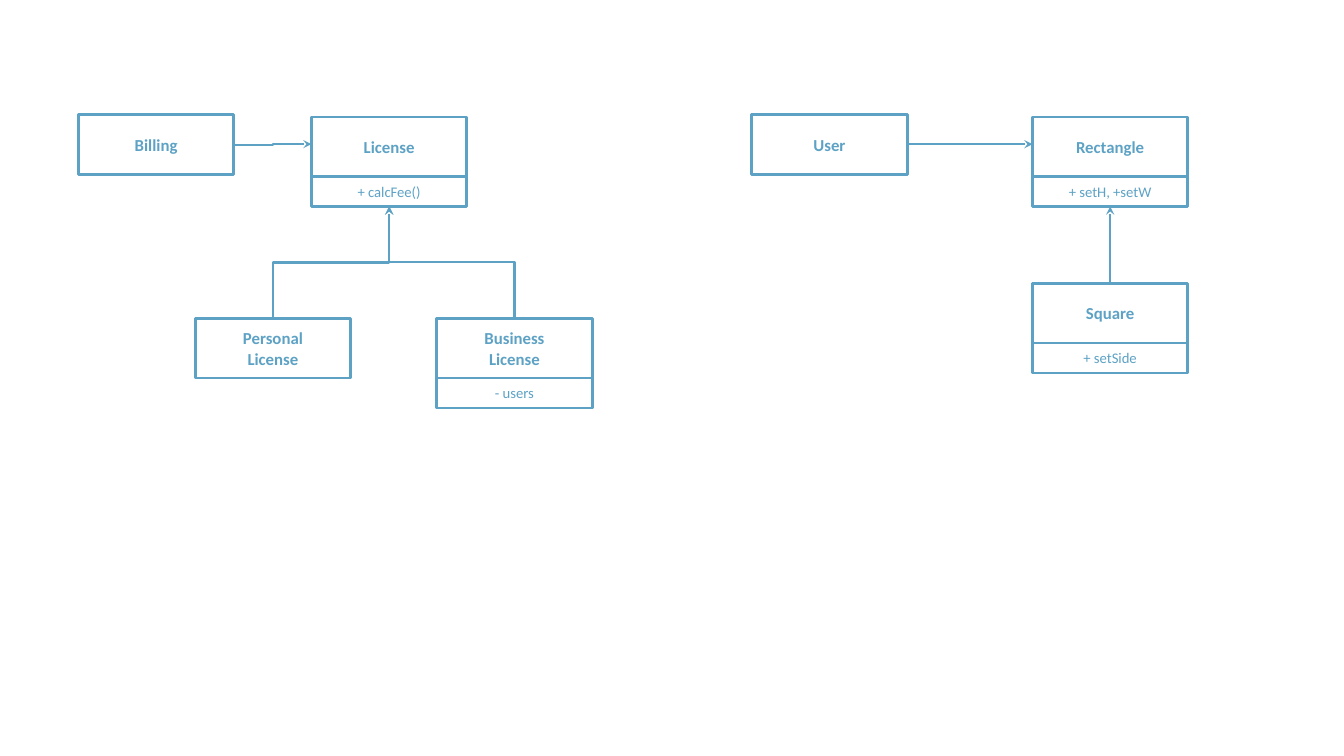
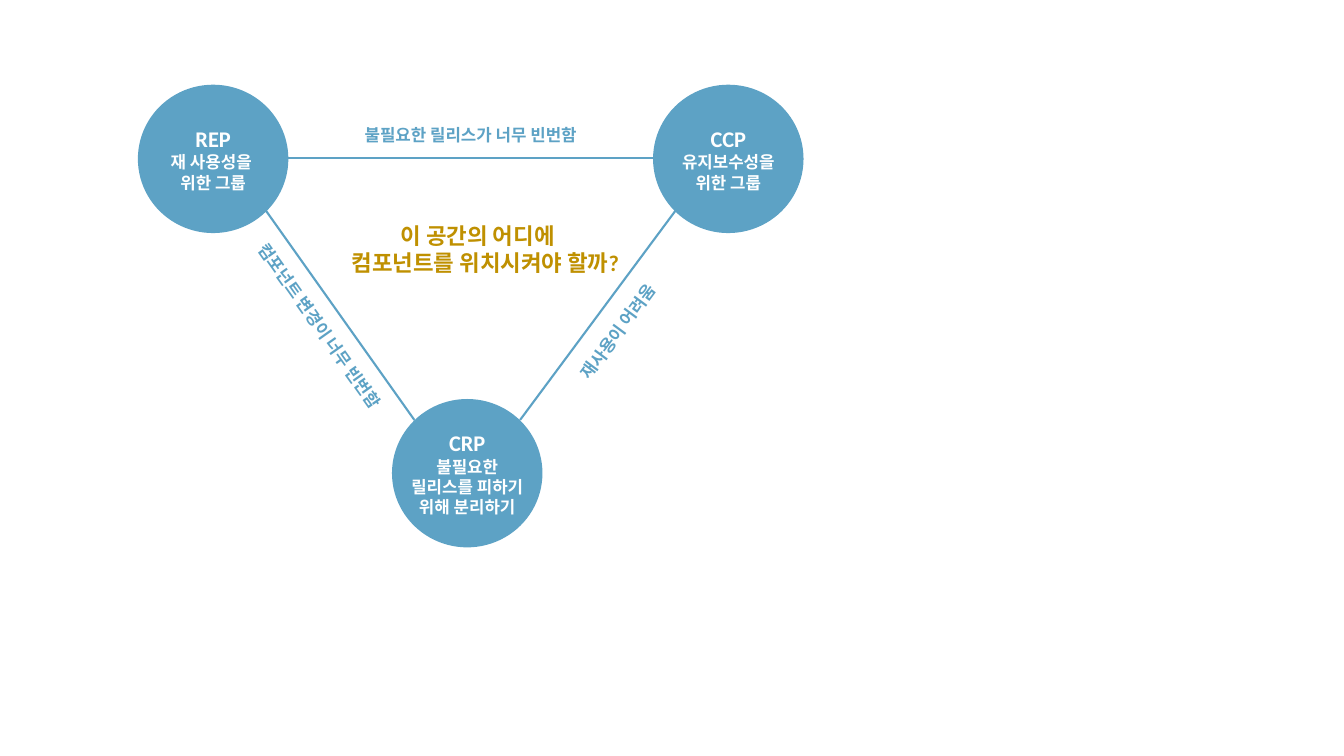
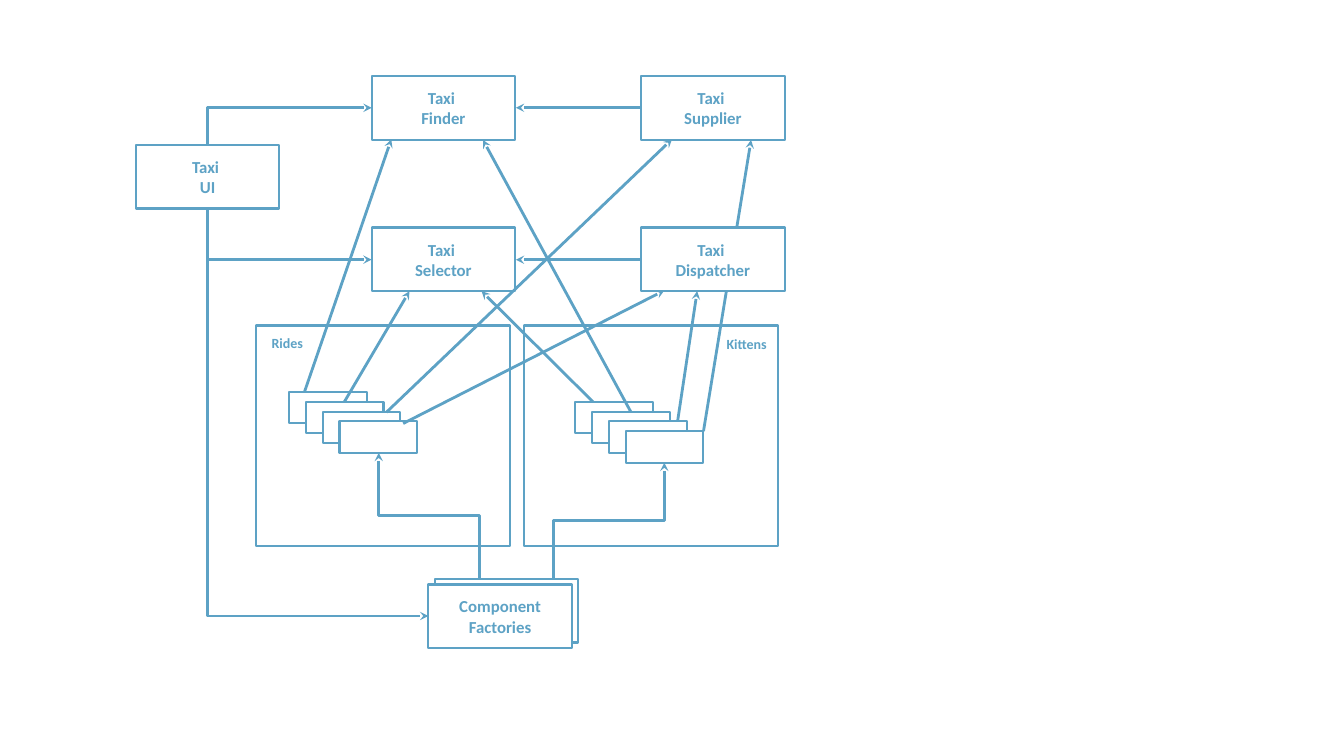
from lxml import etree
from pptx import Presentation
from pptx.dml.color import RGBColor as RGB
from pptx.enum.shapes import MSO_CONNECTOR as LINK, MSO_SHAPE as SHAPE
from pptx.enum.text import MSO_ANCHOR as ANCHOR, PP_ALIGN as ALIGN
from pptx.oxml.ns import qn
from pptx.util import Pt

HUES = {"blue": "5DA2C5", "white": "FFFFFF", "gold": "BF9000"}
FONT = "Calibri"


def put(slide, text, x, y, w, h, kind=None, fill=None, line=None,
        size=12, head=None, hue="blue", bold=True, turn=0):
    """Place a shape, or a text box if no kind is given; head sizes line one."""
    frame = [Pt(v) for v in (x, y, w, h)]
    if kind is None:
        item = slide.shapes.add_textbox(*frame)
    else:
        item = slide.shapes.add_shape(kind, *frame)
        item.shadow.inherit = False
        if fill:
            item.fill.solid()
            item.fill.fore_color.rgb = RGB.from_string(HUES[fill])
        else:
            item.fill.background()
        if line:
            item.line.color.rgb = RGB.from_string(HUES["blue"])
            item.line.width = Pt(line)
        else:
            item.line.fill.background()
    item.rotation = turn
    body = item.text_frame
    body.word_wrap = True
    body.vertical_anchor = ANCHOR.MIDDLE
    for n, words in enumerate(text.split("\n") if text else []):
        para = body.add_paragraph() if n else body.paragraphs[0]
        para.alignment = ALIGN.CENTER
        run = para.add_run()
        run.text = words
        run.font.name = FONT
        run.font.size = Pt(head if head and n == 0 else size)
        run.font.bold = bold
        run.font.color.rgb = RGB.from_string(HUES[hue])


def join(slide, x1, y1, x2, y2, width=1.5, bend=None, rise=False, arrow=True):
    """Draw a line; bend names an elbow preset, rise makes it leave vertically."""
    if rise:
        # A quarter turn about the middle swaps the two directions
        mx, my = (x1 + x2) / 2, (y1 + y2) / 2
        dx, dy = (x2 - x1) / 2, (y2 - y1) / 2
        x1, y1, x2, y2 = mx + dy, my - dx, mx - dy, my + dx
    kind = LINK.ELBOW if bend else LINK.STRAIGHT
    line = slide.shapes.add_connector(kind, Pt(x1), Pt(y1), Pt(x2), Pt(y2))
    line.line.color.rgb = RGB.from_string(HUES["blue"])
    line.line.width = Pt(width)
    props = line._element.spPr
    if bend:
        props.find(qn("a:prstGeom")).set("prst", bend)
    if rise:
        props.find(qn("a:xfrm")).set("rot", "16200000")
    if arrow:
        etree.SubElement(line.line._get_or_add_ln(), qn("a:tailEnd"), type="stealth")
    etree.SubElement(props, qn("a:effectLst"))


deck = Presentation()
deck.slide_width, deck.slide_height = Pt(960), Pt(540)
blank = deck.slide_layouts[6]

# Slide 1: class diagrams
page = deck.slides.add_slide(blank)
wide, high = 111, 42.5
for name, part, x, y in [
    ("Billing", None, 56, 82),
    ("License", "+ calcFee()", 222.5, 83.5),
    ("Personal\nLicense", None, 139.5, 227.5),
    ("Business\nLicense", "- users", 312, 227.5),
    ("User", None, 537, 82),
    ("Rectangle", "+ setH, +setW", 737.5, 83.5),
    ("Square", "+ setSide", 737.5, 202.5),
]:
    put(page, name, x, y, wide, high, kind=SHAPE.RECTANGLE, line=2)
    if part:
        put(page, part, x, y + high, wide, 21.5, kind=SHAPE.RECTANGLE, line=2,
            size=10.5, bold=False)

join(page, 167, 103.5, 222.5, 103, bend="bentConnector3")
for x in (195, 367.5):
    join(page, x, 227.5, 278, 147.5, bend="bentConnector3", rise=True)
join(page, 648, 103, 737.5, 103)
join(page, 793, 202.5, 793, 147.5)

# Slide 2: tension triangle
page = deck.slides.add_slide(blank)
for text, x, y in [
    ("REP\n재 사용성을 \n위한 그룹", 98.5, 60.5),
    ("CCP\n유지보수성을 위한 그룹", 466.5, 60.5),
    ("CRP\n불필요한 릴리스를 피하기 위해 분리하기", 280, 285),
]:
    put(page, "", x, y, 107.5, 106, kind=SHAPE.OVAL, fill="blue")
    put(page, text, x + 5.75, y, 96, 106, head=16, hue="white")

for ends in [(206, 113, 466.5, 113), (190, 150.5, 296, 300),
             (482.5, 150.5, 371.5, 300)]:
    join(page, *ends, arrow=False)

for text, x, y, turn in [
    ("불필요한 릴리스가 너무 빈번함", 248.5, 85.5, 0),
    ("컴포넌트 변경이 너무 빈번함", 141, 222, 54.7),
    ("재사용이 어려움", 353.5, 226, 306.4),
]:
    put(page, text, x, y, 175.5, 21.5, turn=turn)
put(page, "이 공간의 어디에 \n컴포넌트를 위치시켜야 할까?", 243, 155, 200, 46,
    size=16, hue="gold")

# Slide 3: taxi components
page = deck.slides.add_slide(blank)
join(page, 502.5, 308, 536.5, 100, width=2)

for text, x, y, fill in [
    ("Taxi \nUI", 97, 103.5, None),
    ("Taxi \nFinder", 265.5, 54.5, None),
    ("Taxi \nSupplier", 458, 54.5, None),
    ("Taxi \nSelector", 265.5, 162.5, None),
    ("Taxi \nDispatcher", 458, 162.5, "white"),
    ("", 310.5, 413.5, None),
    ("Component\nFactories", 306, 417.5, "white"),
]:
    put(page, text, x, y, 102.5, 45.5, kind=SHAPE.RECTANGLE, fill=fill, line=1.5)

# Stacks of small boxes
for x, y in [(206.5, 280), (411, 287)]:
    for n in range(4):
        put(page, "", x + 12 * n, y + 7 * n, 55.5, 22.5, kind=SHAPE.RECTANGLE,
            fill="white", line=1.5)

# Elbow arrows
for x1, y1, x2, y2, bend in [
    (148.5, 103.5, 265.5, 77, "bentConnector2"),
    (148.5, 149, 265.5, 185.5, "bentConnector2"),
    (148.5, 149, 306, 440, "bentConnector2"),
    (395.5, 413.5, 474.5, 330.5, "bentConnector3"),
    (342.5, 413.5, 270.5, 323.5, "bentConnector3"),
]:
    join(page, x1, y1, x2, y2, width=2, bend=bend, rise=True)

# Group frames and their labels
for x in (183, 374):
    put(page, "", x, 232.5, 181.5, 157.5, kind=SHAPE.RECTANGLE, line=1.5)
put(page, "Rides", 170, 235.5, 70.5, 19.5, size=10)
put(page, "Kittens", 498, 236, 70.5, 19.5, size=10)

# Straight arrows
for ends in [
    (458, 77, 368.5, 77), (458, 185.5, 368.5, 185.5),
    (484, 301, 498, 208), (450.5, 294, 345, 100), (423.5, 287, 344, 208),
    (217.5, 280, 279.5, 99.5), (246, 287, 292.5, 208),
    (276, 294.5, 480, 99.5), (288, 302.5, 474.5, 207.5),
]:
    join(page, *ends, width=2)

deck.save("out.pptx")
